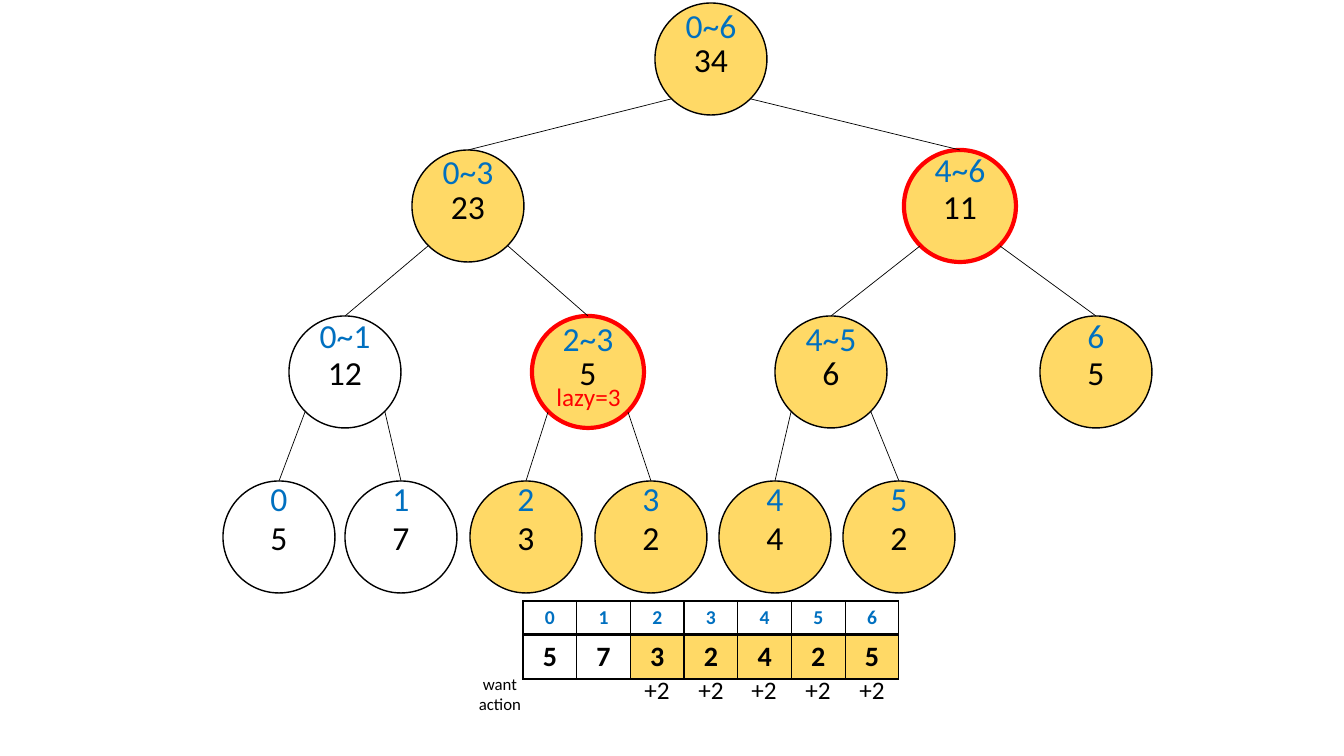
from dataclasses import dataclass

from lxml.etree import SubElement
from pptx import Presentation
from pptx.dml.color import RGBColor
from pptx.enum.shapes import MSO_CONNECTOR, MSO_SHAPE
from pptx.enum.text import MSO_ANCHOR, PP_ALIGN
from pptx.oxml import parse_xml
from pptx.oxml.ns import nsdecls, qn
from pptx.util import Pt

PX = 9071  # EMU per pixel, 100.8 pixels to the inch


@dataclass(frozen=True)
class Theme:
    """Font, colours and type sizes of the slide."""
    font: str = "Calibri"
    black: RGBColor = RGBColor(0, 0, 0)
    blue: RGBColor = RGBColor(0x00, 0x70, 0xC0)
    red: RGBColor = RGBColor(0xFF, 0, 0)
    gold: RGBColor = RGBColor(0xFF, 0xD9, 0x66)
    node: int = 24
    note: int = 18
    caption: int = 12
    cell: int = 20
    index: int = 14


THEME = Theme()


def set_text(tf, text, size, color, bold=False):
    """Put centred, formatted text into a text frame."""
    tf.text = text
    for p in tf.paragraphs:
        p.alignment = PP_ALIGN.CENTER
        for r in p.runs:
            r.font.name = THEME.font
            r.font.size = Pt(size)
            r.font.bold = bold
            r.font.color.rgb = color


def add_label(s, left, top, width, height, text, size, color):
    """Add a centred text box, measured in pixels."""
    box = s.shapes.add_textbox(left * PX, top * PX, width * PX, height * PX)
    box.text_frame.word_wrap = True
    set_text(box.text_frame, text, size, color)


prs = Presentation()
prs.slide_width, prs.slide_height = 1344 * PX, 756 * PX
s = prs.slides.add_slide(prs.slide_layouts[6])

# Segment tree: range -> value, left, level, label top, parent
NODES = {
    "0~6": (34, 655, 0, 0, None),
    "0~3": (23, 412, 1, 146, "0~6"),
    "4~6": (11, 904, 1, 144, "0~6"),
    "0~1": (12, 289, 2, 310, "0~3"),
    "2~3": (5, 532, 2, 313, "0~3"),
    "4~5": (6, 775, 2, 313, "4~6"),
    "6": (5, 1040, 2, 310, "4~6"),
    "0": (5, 223, 3, 473, "0~1"),
    "1": (7, 345, 3, 473, "0~1"),
    "2": (3, 470, 3, 473, "2~3"),
    "3": (2, 595, 3, 473, "2~3"),
    "4": (4, 719, 3, 473, "4~5"),
    "5": (2, 843, 3, 473, "4~5"),
}
LEVEL_TOPS = (3, 150, 316, 481)
DIAMETER = 112
INSET = 16  # where the diagonal meets the circle
UNTOUCHED = ("0~1", "0", "1")
COVERED = ("2~3", "4~6")

for span, (value, left, level, label_top, parent) in NODES.items():
    top = LEVEL_TOPS[level]
    sp = s.shapes.add_shape(MSO_SHAPE.OVAL, left * PX, top * PX, DIAMETER * PX, DIAMETER * PX)
    sp.shadow.inherit = False
    if span in UNTOUCHED:
        sp.fill.background()
    else:
        sp.fill.solid()
        sp.fill.fore_color.rgb = THEME.gold
    sp.line.color.rgb = THEME.red if span in COVERED else THEME.black
    sp.line.width = Pt(3 if span in COVERED else 1)
    sp.text_frame.vertical_anchor = MSO_ANCHOR.MIDDLE
    set_text(sp.text_frame, str(value), THEME.node, THEME.black)
    add_label(s, left + INSET, label_top, 80, 50, span, THEME.node, THEME.blue)

    if parent:
        _, parent_left, parent_level, _, _ = NODES[parent]
        start_x = parent_left + (INSET if left < parent_left else DIAMETER - INSET)
        start_y = LEVEL_TOPS[parent_level] + DIAMETER - INSET
        edge = s.shapes.add_connector(MSO_CONNECTOR.STRAIGHT, start_x * PX, start_y * PX,
                                      (left + DIAMETER // 2) * PX, top * PX)
        edge.line.color.rgb = THEME.black
        edge.line.width = Pt(0.5)
        SubElement(edge._element.spPr, qn("a:effectLst"))

add_label(s, 544, 376, 89, 40, "lazy=3", THEME.note, THEME.red)

# Array below the tree: values and their indexes
VALUES = (5, 7, 3, 2, 4, 2, 5)
FIRST_CHANGED = 2
TABLE_LEFT, TABLE_WIDTH = 523, 376
ROWS = (
    (635, 44, VALUES, THEME.cell, THEME.black, FIRST_CHANGED),
    (601, 33, range(len(VALUES)), THEME.index, THEME.blue, len(VALUES)),
)
for top, height, entries, size, color, first_filled in ROWS:
    frame = s.shapes.add_table(1, len(VALUES), TABLE_LEFT * PX, top * PX,
                               TABLE_WIDTH * PX, height * PX)
    table = frame.table
    table.first_row = table.horz_banding = False
    for i, entry in enumerate(entries):
        cell = table.cell(0, i)
        cell.margin_top = cell.margin_bottom = 3 * PX
        cell.vertical_anchor = MSO_ANCHOR.MIDDLE
        set_text(cell.text_frame, str(entry), size, color, bold=True)
        for side in "LRTB":
            cell._tc.get_or_add_tcPr().append(parse_xml(
                f'<a:ln{side} {nsdecls("a")} w="{Pt(1)}"><a:solidFill>'
                f'<a:srgbClr val="{THEME.black}"/></a:solidFill></a:ln{side}>'))
        if i < first_filled:
            cell.fill.background()
        else:
            cell.fill.solid()
            cell.fill.fore_color.rgb = THEME.gold

# Requested change to each element
ACTION_TOP = 669
add_label(s, 462, ACTION_TOP, 76, 50, "want\naction", THEME.caption, THEME.black)
for i in range(FIRST_CHANGED, len(VALUES)):
    center = TABLE_LEFT + TABLE_WIDTH * (2 * i + 1) // (2 * len(VALUES))
    add_label(s, center - 25, ACTION_TOP, 50, 40, "+2", THEME.note, THEME.black)

prs.save("out.pptx")
